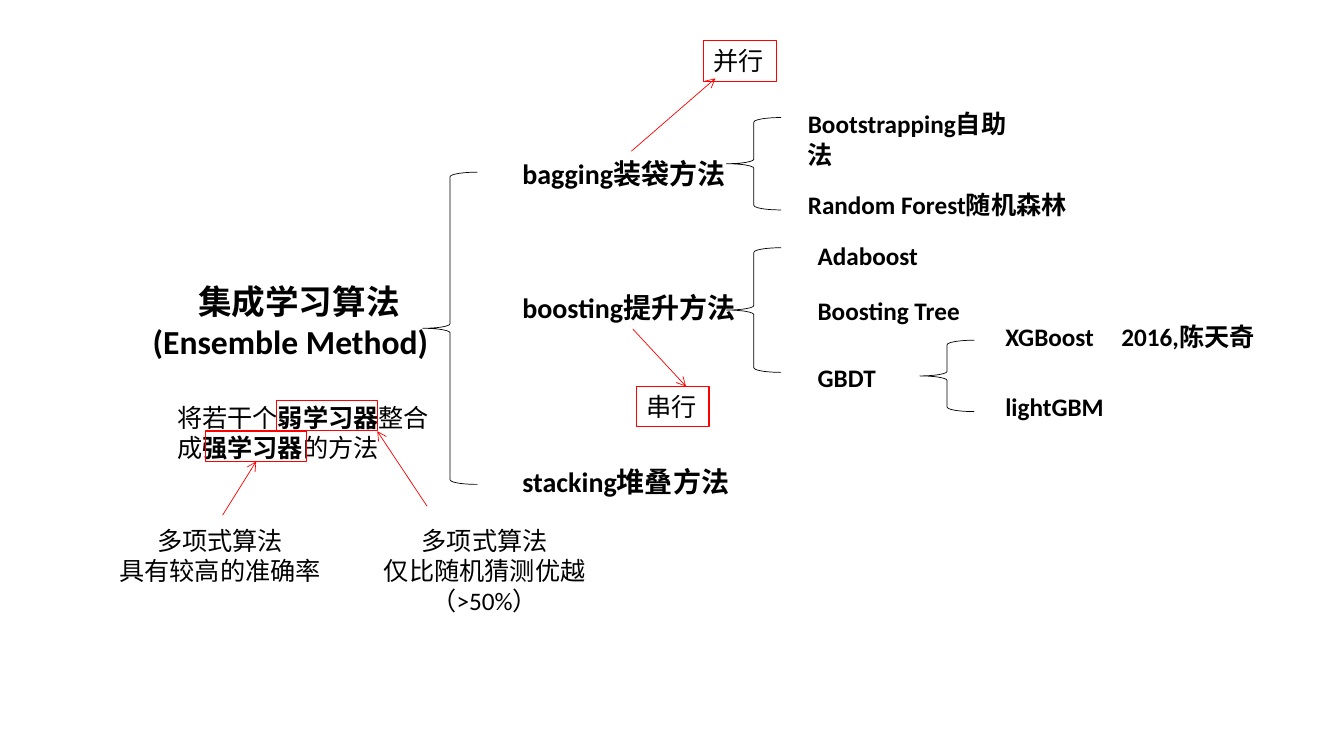
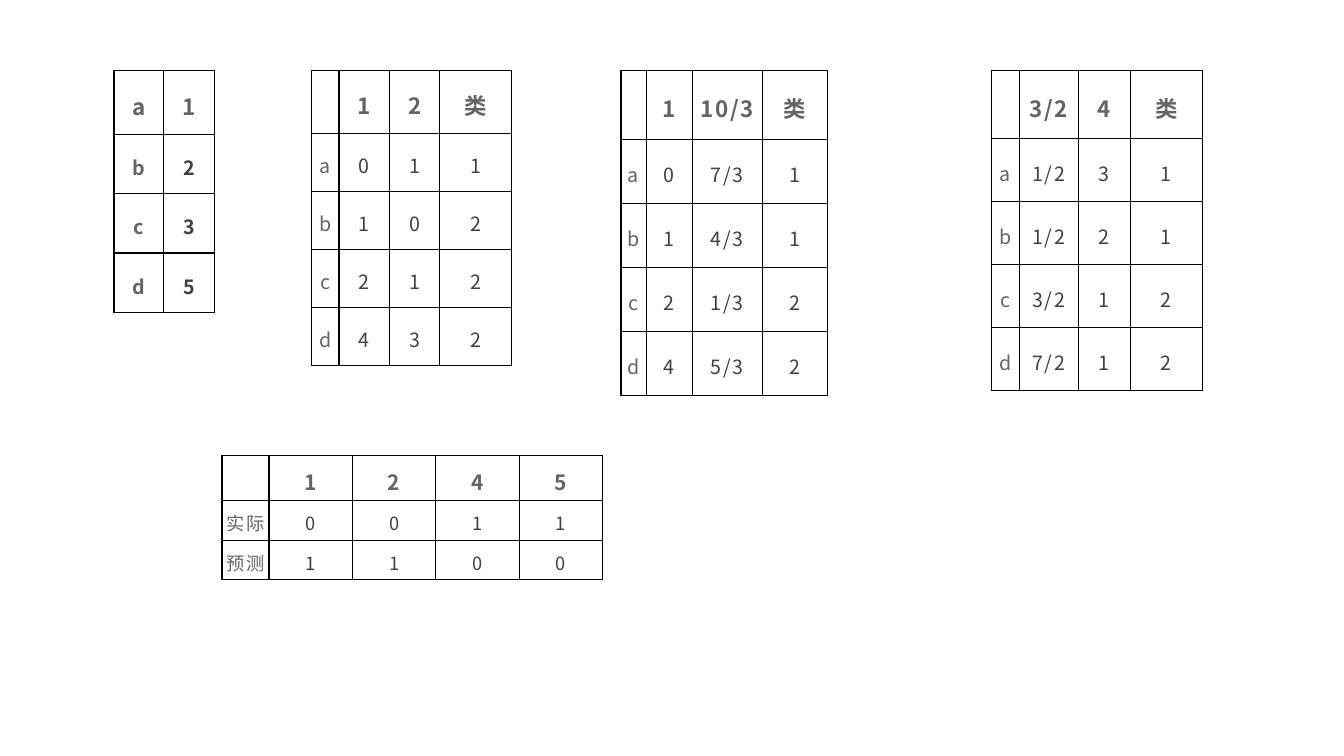
from lxml import etree
from pptx import Presentation
from pptx.dml.color import RGBColor
from pptx.enum.shapes import MSO_CONNECTOR, MSO_SHAPE
from pptx.enum.text import MSO_ANCHOR, PP_ALIGN
from pptx.oxml.ns import qn
from pptx.util import Pt

STRAIGHT = MSO_CONNECTOR.STRAIGHT
BRACE, RECTANGLE = MSO_SHAPE.LEFT_BRACE, MSO_SHAPE.RECTANGLE
LEFT, CENTER = PP_ALIGN.LEFT, PP_ALIGN.CENTER
MIDDLE = MSO_ANCHOR.MIDDLE
BOTTOM_SIDE = 2

COLORS = {"ink": "000000", "mark": "FF0000", "paper": "FFFFFF",
          "heading": "646464", "value": "404040"}
TEXT_FONT, TABLE_FONT = "Calibri", "Noto Sans CJK SC"


def color(name):
    """Return a named colour."""
    return RGBColor.from_string(COLORS[name])


def style_font(para, size, bold=None, ink="ink", name=TEXT_FONT):
    """Set the font of a whole paragraph."""
    font = para.font
    font.size, font.name, font.bold = Pt(size), name, bold
    font.color.rgb = color(ink)


def write(frame, lines, size=18, bold=False, align=LEFT, indent=0, tab=0):
    """Fill a text frame with one paragraph for each line."""
    frame.word_wrap = True
    for number, line in enumerate(lines):
        para = frame.add_paragraph() if number else frame.paragraphs[0]
        para.text = line
        para.alignment = align
        properties = para._p.get_or_add_pPr()
        if indent:
            properties.set("marL", "0")
            properties.set("indent", str(Pt(indent)))
        if tab:
            stops = etree.SubElement(properties, qn("a:tabLst"))
            etree.SubElement(stops, qn("a:tab"), pos=str(Pt(tab)), algn="l")
        style_font(para, size, bold)


def add_text(page, left, top, width, height, lines, **style):
    """Add a text box."""
    box = page.shapes.add_textbox(Pt(left), Pt(top), Pt(width), Pt(height))
    write(box.text_frame, lines, **style)
    return box


def add_outline(page, kind, left, top, width, height, line="ink", weight=0.5):
    """Add an unfilled preset shape."""
    shape = page.shapes.add_shape(kind, Pt(left), Pt(top), Pt(width), Pt(height))
    shape.shadow.inherit = False
    shape.fill.background()
    shape.line.color.rgb = color(line)
    shape.line.width = Pt(weight)
    return shape


def add_arrow(page, start_x, start_y, end_x, end_y):
    """Add a thin red arrow."""
    arrow = page.shapes.add_connector(
        STRAIGHT, Pt(start_x), Pt(start_y), Pt(end_x), Pt(end_y))
    arrow.line.color.rgb = color("mark")
    arrow.line.width = Pt(0.5)
    etree.SubElement(arrow.line._get_or_add_ln(), qn("a:tailEnd"), type="arrow")
    etree.SubElement(arrow._element.spPr, qn("a:effectLst"))
    return arrow


def draw_summary(page, left, top):
    """Draw the title, its definition and the notes on both learners."""
    add_text(page, left + 43.5, top, 218, 65.5, ["集成学习算法(Ensemble Method)"],
             size=24, bold=True, align=CENTER, indent=12)

    definition = add_text(page, left + 64.5, top + 86.5, 204.5, 51, [""], bold=None)
    para = definition.text_frame.paragraphs[0]
    for text, bold in (("将若干个", False), ("弱学习器", True), ("整合成", False),
                       ("强学习器", True), ("的方法", False)):
        span = para.add_run()
        span.text = text
        span.font.bold = bold

    weak_x, weak_y, mark_width, mark_height = left + 142.5, top + 89, 72, 21.6
    strong_x, strong_y = left + 92, top + 111
    for x, y in ((weak_x, weak_y), (strong_x, strong_y)):
        add_outline(page, RECTANGLE, x, y, mark_width, mark_height, "mark", 1)
    strong_mark = page.shapes[-1]
    add_arrow(page, left + 250, top + 164.5, weak_x + mark_width, strong_y)
    strong_arrow = add_arrow(page, left + 104, top + 171,
                             strong_x + mark_width / 2, strong_y + mark_height)
    strong_arrow.end_connect(strong_mark, BOTTOM_SIDE)

    notes = (["多项式算法", "具有较高的准确率"],
             ["多项式算法", "仅比随机猜测优越", "（>50%）"])
    for number, lines in enumerate(notes):
        add_text(page, left + number * 189, top + 174.5, 204.5,
                 7.5 + 21.6 * len(lines), lines, align=CENTER)


def draw_tree(page, left, top):
    """Draw the three families of methods with their members."""
    for x, y, height in ((0, 94, 223), (217, 55, 66), (217, 148, 89), (355, 214, 51)):
        add_outline(page, BRACE, left + x, top + y, 39, height)
    for y, name in ((79, "bagging装袋方法"), (175, "boosting提升方法"),
                    (299, "stacking堆叠方法")):
        add_text(page, left + 64, top + y, 171, 32, [name], size=20, bold=True)
    add_text(page, left + 268, top + 45, 171, 51, ["Bootstrapping自助法"], bold=True)
    for x, y, name in ((268, 103, "Random Forest随机森林"), (275, 139, "Adaboost"),
                       (275, 178.5, "Boosting Tree"), (275, 226, "GBDT"),
                       (409, 247, "lightGBM")):
        add_text(page, left + x, top + y, 213, 29, [name], bold=True)
    add_text(page, left + 409, top + 197, 213, 29, ["XGBoost\t2016,陈天奇"],
             bold=True, tab=83)
    for x, y, name in ((200.5, 0, "并行"), (152.5, 247, "串行")):
        label = add_outline(page, RECTANGLE, left + x, top + y, 52, 29, "mark", 0.75)
        write(label.text_frame, [name])
    add_arrow(page, left + 149, top + 79, left + 209, top + 27)
    add_arrow(page, left + 150, top + 206, left + 188, top + 247)


def style_cell(cell, text, margin, size, bold, ink):
    """Fill one table cell, with black borders on all sides."""
    cell.vertical_anchor = MIDDLE
    cell.margin_left = cell.margin_right = Pt(2.4)
    cell.margin_top = cell.margin_bottom = Pt(margin)
    para = cell.text_frame.paragraphs[0]
    para.text = text
    para.alignment = CENTER
    para.line_spacing = 1.2
    style_font(para, size, bold, ink, TABLE_FONT)
    para._p.get_or_add_pPr().get_or_add_defRPr().set("spc", "120")
    properties = cell._tc.get_or_add_tcPr()
    for side in ("a:lnL", "a:lnR", "a:lnT", "a:lnB"):
        border = etree.SubElement(properties, qn(side), w=str(Pt(1)))
        fill = etree.SubElement(border, qn("a:solidFill"))
        etree.SubElement(fill, qn("a:srgbClr"), val=COLORS["ink"])
    cell.fill.solid()
    cell.fill.fore_color.rgb = color("paper")


def draw_table(page, left, top, widths, head_height, row_height, rows,
               margin=8.5, head_size=16, all_bold=False):
    """Draw a bordered table with a bold first row and grey headings."""
    height = head_height + row_height * (len(rows) - 1)
    frame = page.shapes.add_table(len(rows), len(widths), Pt(left), Pt(top),
                                  Pt(sum(widths)), Pt(height))
    table = frame.table
    table.first_row = table.horz_banding = False
    for column, width in zip(table.columns, widths):
        column.width = Pt(width)
    for y, values in enumerate(rows):
        table.rows[y].height = Pt(row_height if y else head_height)
        for x, text in enumerate(values):
            style_cell(table.cell(y, x), text, margin,
                       head_size - 2 if y else head_size, all_bold or y == 0,
                       "value" if x and y else "heading")


def draw_tables(page, left, top):
    """Draw the row of four tables and the comparison below it."""
    draw_table(page, left, top, [35.5, 36.5], 45.5, 42.4,
               [["a", "1"], ["b", "2"], ["c", "3"], ["d", "5"]], all_bold=True)
    draw_table(page, left + 141, top, [19.7, 36, 36, 51], 44.5, 41.5,
               [["", "1", "2", "类"], ["a", "0", "1", "1"], ["b", "1", "0", "2"],
                ["c", "2", "1", "2"], ["d", "4", "3", "2"]])
    draw_table(page, left + 362, top, [18, 33, 50, 46.5], 49, 45.7,
               [["", "1", "10/3", "类"], ["a", "0", "7/3", "1"],
                ["b", "1", "4/3", "1"], ["c", "2", "1/3", "2"],
                ["d", "4", "5/3", "2"]])
    draw_table(page, left + 626.5, top, [20, 42.3, 37, 51.5], 48.3, 45,
               [["", "3/2", "4", "类"], ["a", "1/2", "3", "1"],
                ["b", "1/2", "2", "1"], ["c", "3/2", "1", "2"],
                ["d", "7/2", "1", "2"]])
    draw_table(page, left + 77, top + 275, [33.6] + [59.6] * 4, 32.2, 28.2,
               [["", "1", "2", "4", "5"], ["实际", "0", "0", "1", "1"],
                ["预测", "1", "1", "0", "0"]], margin=0.8, head_size=15)


def main():
    """Build and save the two slides."""
    deck = Presentation()
    deck.slide_width, deck.slide_height = Pt(960), Pt(540)
    blank = deck.slide_layouts[6]
    overview = deck.slides.add_slide(blank)
    draw_summary(overview, 55, 197)
    draw_tree(overview, 302, 29)
    draw_tables(deck.slides.add_slide(blank), 81.5, 50.5)
    deck.save("out.pptx")


if __name__ == "__main__":
    main()
